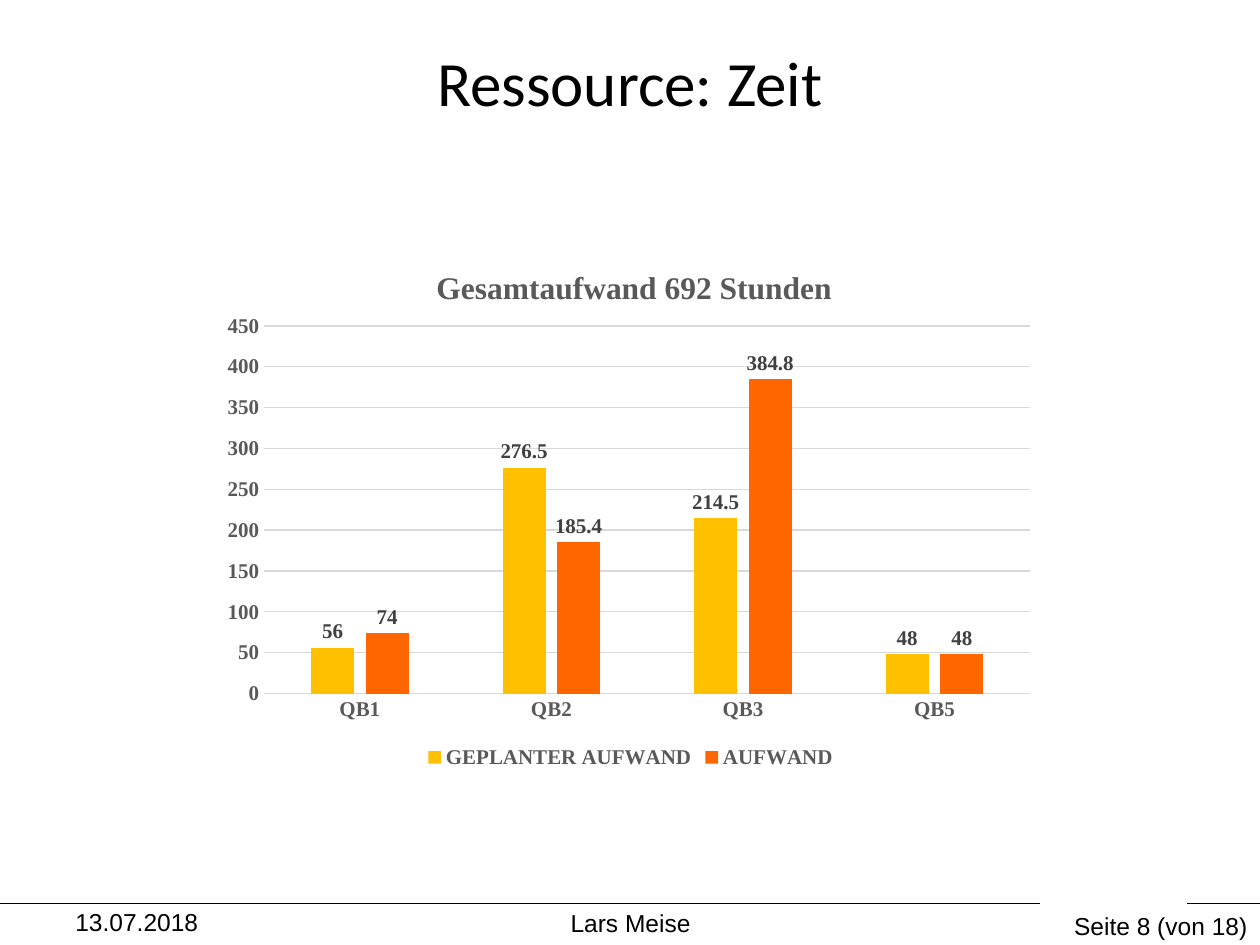
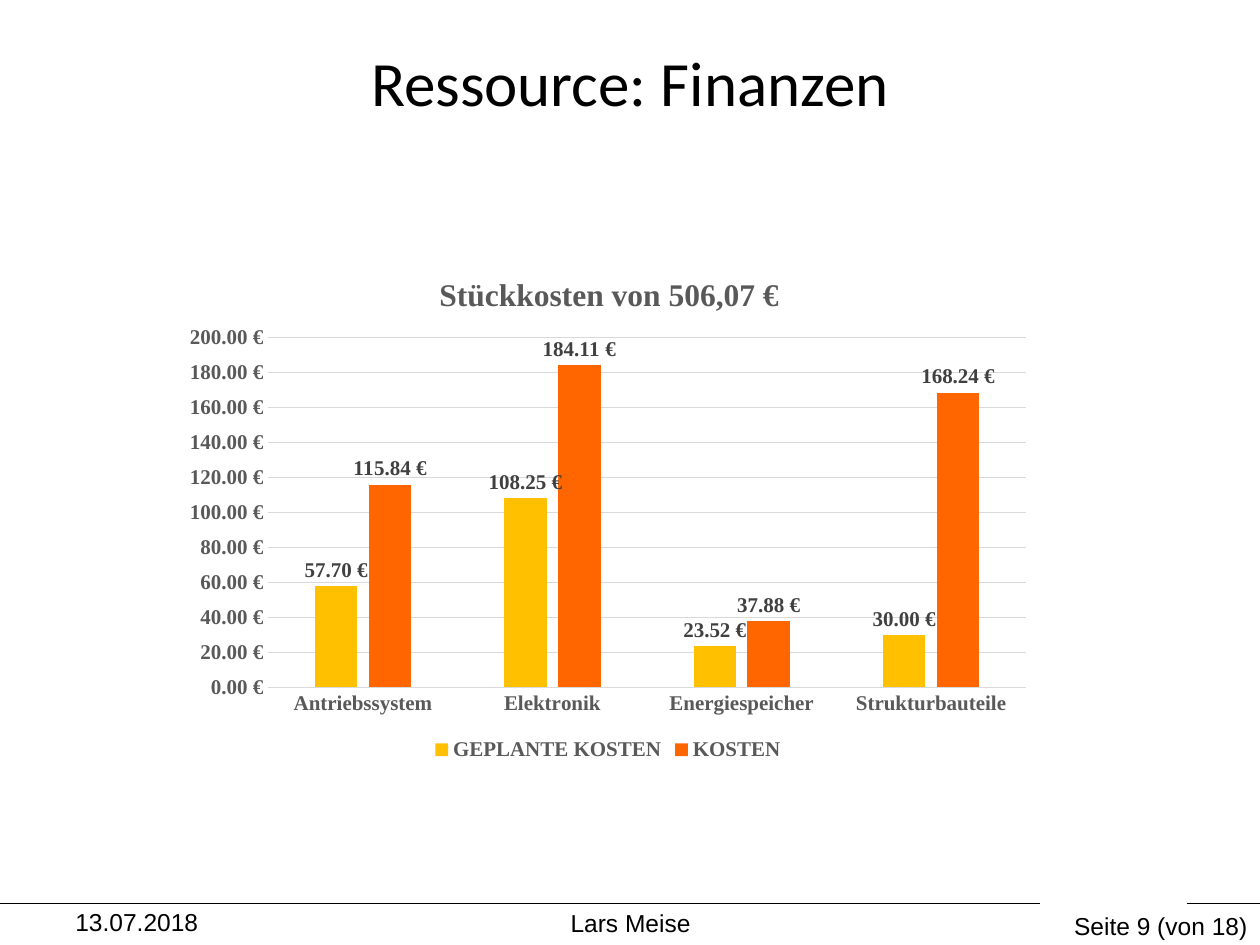
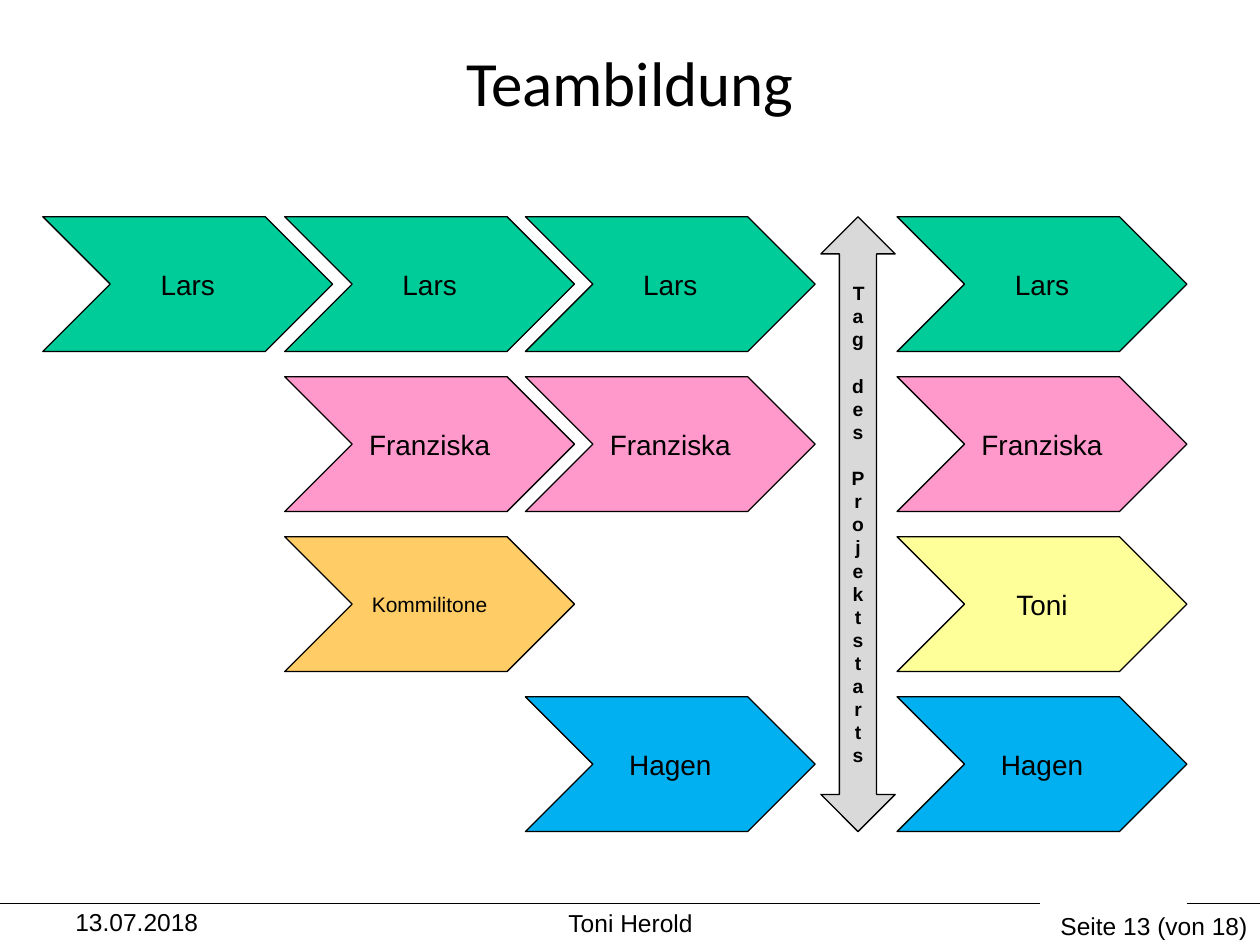
from lxml import etree
from pptx import Presentation
from pptx.chart.data import CategoryChartData as ChartData
from pptx.dml.color import RGBColor as Rgb
from pptx.enum.chart import XL_CHART_TYPE as Kind, XL_LABEL_POSITION as Spot
from pptx.enum.chart import XL_LEGEND_POSITION as Side, XL_TICK_MARK as Tick
from pptx.enum.shapes import MSO_CONNECTOR as Link, MSO_SHAPE as Shape
from pptx.enum.text import MSO_ANCHOR as Anchor, PP_ALIGN as Align
from pptx.oxml.ns import qn
from pptx.util import Inches, Pt

WIDE, HIGH = 10, 7.5
COLS = {
    "ink": "000000", "text": "595959", "label": "404040", "grid": "D9D9D9",
    "plan": "FFC000", "real": "FF6600",
    "green": "00CC99", "pink": "FF99CC", "sand": "FFCC66",
    "blue": "00B0F0", "lemon": "FFFF99",
}
SANS, HEAD, SERIF = "Arial", "Calibri", "Times New Roman"
PAGES = 18
EURO = '#,##0.00\\ "€"'


def ink(name):
    return Rgb.from_string(COLS[name])


def inch(box):
    return [Inches(v) for v in box]


def style(font, size, face=SANS, color="ink", bold=False):
    font.size, font.name, font.bold = Pt(size), face, bold
    font.color.rgb = ink(color)


def write(frame, runs, size, face=SANS, align=Align.CENTER, bold=False):
    para = frame.paragraphs[0]
    para.alignment = align
    for text in runs:
        run = para.add_run()
        run.text = text
        style(run.font, size, face, bold=bold)


def label(slide, box, runs, size, face=SANS, align=Align.CENTER, anchor=Anchor.TOP):
    frame = slide.shapes.add_textbox(*inch(box)).text_frame
    frame.word_wrap = True
    frame.vertical_anchor = anchor
    write(frame, runs, size, face, align)


def rule(slide, start, end, y):
    line = slide.shapes.add_connector(Link.STRAIGHT, *inch((start, y, end, y)))
    line.line.color.rgb = ink("ink")
    line.line.width = Pt(0.75)
    etree.SubElement(line._element.spPr, qn("a:effectLst"))


# Footer: broken rule, date, speaker and page
def footer(slide, box, name, page):
    x, y, w, h = box
    rule(slide, x + 0.825 * w, x, y + 0.02)
    rule(slide, x + 0.942 * w, x + w, y + 0.02)
    label(slide, (x + 0.05 * w, y, 0.233 * w, h), ["13.07.2018"], 14, align=Align.LEFT)
    label(slide, (x + 0.342 * w, y + 0.01, 0.317 * w, h), [name], 14)
    label(slide, (x + 0.717 * w, y + 0.03, 0.283 * w, h),
          ["Seite ", str(page), f" (von {PAGES})"], 14, align=Align.RIGHT)


# Frame shared by all slides
def base(deck, title, name, page):
    slide = deck.slides.add_slide(deck.slide_layouts[6])
    label(slide, (0.05 * WIDE, 0.02, 0.9 * WIDE, 1.25), [title], 36, HEAD,
          anchor=Anchor.MIDDLE)
    footer(slide, (0, 7.15, WIDE, HIGH - 7.15), name, page)
    return slide


# Fixes a chart part at shares of the chart's size
def place(part, x, y, w=None, h=None, inner=False):
    old = part.find(qn("c:layout"))
    if old is None:
        old = etree.Element(qn("c:layout"))
        text = part.find(qn("c:tx"))
        if text is None:
            part.insert(0, old)
        else:
            text.addnext(old)
    for child in list(old):
        old.remove(child)
    man = etree.SubElement(old, qn("c:manualLayout"))
    pairs = [("layoutTarget", "inner")] if inner else []
    pairs += [("xMode", "edge"), ("yMode", "edge"), ("x", x), ("y", y)]
    pairs += [("w", w), ("h", h)] if w else []
    for tag, val in pairs:
        etree.SubElement(man, qn("c:" + tag)).set("val", str(val))


def bars(slide, box, title, cats, rows, top, step, form, head, plot):
    data = ChartData(number_format=form)
    data.categories = cats
    for name, vals in rows:
        data.add_series(name, vals)
    chart = slide.shapes.add_chart(Kind.COLUMN_CLUSTERED, *inch(box), data).chart
    style(chart.font, 10, SERIF)

    # Heading and legend
    chart.has_title = True
    run = chart.chart_title.text_frame.paragraphs[0].add_run()
    run.text = title
    style(run.font, 18, SERIF, "text", True)
    chart.chart_title.include_in_layout = False
    place(chart.chart_title._element, *head)
    chart.has_legend = True
    chart.legend.position = Side.BOTTOM
    chart.legend.include_in_layout = False
    style(chart.legend.font, 12, SERIF, "text", True)

    # Axes
    cat, val = chart.category_axis, chart.value_axis
    for axis in (cat, val):
        axis.major_tick_mark = axis.minor_tick_mark = Tick.NONE
        style(axis.tick_labels.font, 12, SERIF, "text", True)
    val.minimum_scale, val.maximum_scale, val.major_unit = 0, top, step
    val.tick_labels.number_format = form
    val.tick_labels.number_format_is_linked = False
    val.format.line.fill.background()
    for line in (cat.format.line, val.major_gridlines.format.line):
        line.color.rgb = ink("grid")
        line.width = Pt(0.75)

    # Columns
    group = chart.plots[0]
    group.gap_width, group.overlap, group.vary_by_categories = 219, -27, False
    for series, color in zip(group.series, ("plan", "real")):
        series.format.fill.solid()
        series.format.fill.fore_color.rgb = ink(color)
        tags = series.data_labels
        tags.show_value = True
        tags.position = Spot.OUTSIDE_END
        tags.number_format, tags.number_format_is_linked = form, False
        style(tags.font, 12, SERIF, "label", True)
    place(chart._chartSpace.chart.plotArea, *plot, inner=True)


def block(slide, kind, box, text, fill, size, bold=False):
    shape = slide.shapes.add_shape(kind, *inch(box))
    shape.shadow.inherit = False
    shape.fill.solid()
    shape.fill.fore_color.rgb = ink(fill)
    shape.line.color.rgb = ink("ink")
    shape.line.width = Pt(0.75)
    frame = shape.text_frame
    frame.vertical_anchor = Anchor.MIDDLE
    write(frame, [text], size, bold=bold)
    return frame


# Team members by phase, with the project start before the last one
def team(slide, box):
    x, y, w, h = box
    wide, high = 2.3, 1.07
    lefts = [0, 1.92, 3.83, w - wide]
    step = (h - high) / 3
    fills = {"Lars": "green", "Franziska": "pink", "Kommilitone": "sand",
             "Hagen": "blue", "Toni": "lemon"}
    grid = [
        ["Lars", "Lars", "Lars", "Lars"],
        [None, "Franziska", "Franziska", "Franziska"],
        [None, "Kommilitone", None, "Toni"],
        [None, None, "Hagen", "Hagen"],
    ]
    for r, names in enumerate(grid):
        for left, name in zip(lefts, names):
            if name:
                size = 12 if name == "Kommilitone" else 16
                frame = block(slide, Shape.CHEVRON, (x + left, y + r * step, wide, high),
                              name, fills[name], size)
                frame.word_wrap = False

    frame = block(slide, Shape.UP_DOWN_ARROW, (x + 0.68 * w, y, 0.59, h),
                  "Tag des Projektstarts", "grid", 11, True)
    frame.margin_left = frame.margin_right = 0
    frame._txBody.bodyPr.set("vert", "wordArtVert")


def main():
    deck = Presentation()
    deck.slide_width, deck.slide_height = inch((WIDE, HIGH))

    slide = base(deck, "Ressource: Zeit", "Lars Meise", 8)
    bars(slide, (1.7, 1.91, 6.61, 4.23), "Gesamtaufwand 692 Stunden",
         ["QB1", "QB2", "QB3", "QB5"],
         [("GEPLANTER AUFWAND", (56, 276.5, 214.5, 48)),
          ("AUFWAND", (74, 185.4, 384.8, 48))],
         450, 50, "General", (0.26, 0.04), (0.06, 0.16, 0.92, 0.69))

    slide = base(deck, "Ressource: Finanzen", "Lars Meise", 9)
    bars(slide, (1.37, 1.93, 6.91, 4.15), "Stückkosten von 506,07 €",
         ["Antriebssystem", "Elektronik", "Energiespeicher", "Strukturbauteile"],
         [("GEPLANTE KOSTEN", (57.7, 108.25, 23.52, 30)),
          ("KOSTEN", (115.84, 184.11, 37.88, 168.24))],
         200, 20, EURO, (0.3, 0.05), (0.11, 0.18, 0.87, 0.67))

    slide = base(deck, "Teambildung", "Toni Herold", 13)
    team(slide, (0.34, 1.72, 9.08, 4.88))

    deck.save("out.pptx")


if __name__ == "__main__":
    main()
